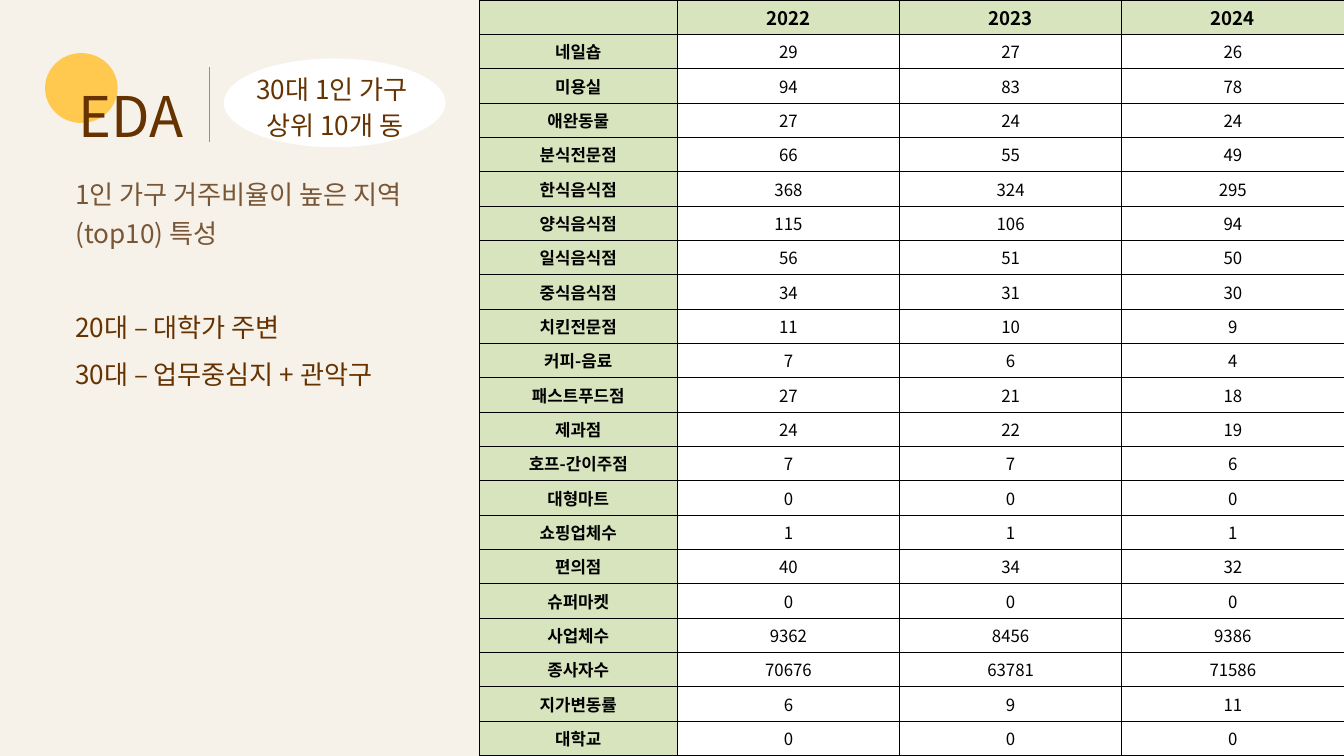
"""Build the slide on the ten districts with the most one-person households."""
from dataclasses import dataclass

from lxml.etree import SubElement
from pptx import Presentation
from pptx.dml.color import RGBColor
from pptx.enum.shapes import MSO_CONNECTOR, MSO_SHAPE
from pptx.enum.text import MSO_ANCHOR, PP_ALIGN
from pptx.oxml.ns import qn
from pptx.slide import Slide
from pptx.table import _Cell
from pptx.text.text import _Paragraph
from pptx.util import Inches, Pt


@dataclass(frozen=True)
class Theme:
    font: str = "Noto Sans CJK KR"
    background: str = "F6F2EA"
    sun: str = "FFC950"
    brown: str = "663300"
    soft_brown: str = "795635"
    rule: str = "AB8A66"
    white: str = "FFFFFF"
    black: str = "000000"
    green: str = "D7E4BD"
    title_size: float = 60
    body_size: float = 28
    header_size: float = 20
    cell_size: float = 18


@dataclass(frozen=True)
class Area:
    left: float
    top: float
    width: float
    height: float

    def lengths(self) -> tuple:
        return tuple(Inches(n) for n in (self.left, self.top, self.width, self.height))


@dataclass(frozen=True)
class Line:
    text: str
    size: float
    color: str
    leading: float
    before: float = 0


THEME = Theme()
SLIDE_WIDTH, SLIDE_HEIGHT = 20, 11.25
TABLE_LEFT, LABEL_WIDTH = 7.13, 2.95
BODY_LEADING = 50.4

OVALS = [
    (Area(0.67, 0.79, 1.08, 1.04), THEME.sun),
    (Area(3.33, 0.87, 3.3, 1.32), THEME.white),
]
TITLE = [Line("EDA", THEME.title_size, THEME.brown, 87.8)]
FINDINGS = [
    Line("1인 가구 거주비율이 높은 지역(top10) 특성", THEME.body_size, THEME.soft_brown, 41.5),
    Line("20대 – 대학가 주변", THEME.body_size, THEME.brown, BODY_LEADING, BODY_LEADING),
    Line("30대 – 업무중심지 + 관악구", THEME.body_size, THEME.brown, BODY_LEADING),
]
BADGE = [
    Line("30대 1인 가구 ", THEME.body_size, THEME.brown, 39.3),
    Line("상위 10개 동", THEME.body_size, THEME.brown, 39.3),
]
ROWS = [
    ("", 2022, 2023, 2024),
    ("네일숍", 29, 27, 26),
    ("미용실", 94, 83, 78),
    ("애완동물", 27, 24, 24),
    ("분식전문점", 66, 55, 49),
    ("한식음식점", 368, 324, 295),
    ("양식음식점", 115, 106, 94),
    ("일식음식점", 56, 51, 50),
    ("중식음식점", 34, 31, 30),
    ("치킨전문점", 11, 10, 9),
    ("커피-음료", 7, 6, 4),
    ("패스트푸드점", 27, 21, 18),
    ("제과점", 24, 22, 19),
    ("호프-간이주점", 7, 7, 6),
    ("대형마트", 0, 0, 0),
    ("쇼핑업체수", 1, 1, 1),
    ("편의점", 40, 34, 32),
    ("슈퍼마켓", 0, 0, 0),
    ("사업체수", 9362, 8456, 9386),
    ("종사자수", 70676, 63781, 71586),
    ("지가변동률", 6, 9, 11),
    ("대학교", 0, 0, 0),
]


def rgb(color: str) -> RGBColor:
    return RGBColor.from_string(color)


def style_spans(para: _Paragraph, size: float, color: str, bold: bool = False) -> None:
    for span in para.runs:
        span.font.size = Pt(size)
        span.font.bold = bold
        span.font.color.rgb = rgb(color)
        span.font.name = THEME.font
        SubElement(span.font._element, qn("a:ea"), typeface=THEME.font)


def add_oval(page: Slide, area: Area, color: str) -> None:
    oval = page.shapes.add_shape(MSO_SHAPE.OVAL, *area.lengths())
    oval.shadow.inherit = False
    oval.fill.solid()
    oval.fill.fore_color.rgb = rgb(color)
    oval.line.fill.background()


def add_text(page: Slide, area: Area, lines: list[Line], align: PP_ALIGN = PP_ALIGN.LEFT) -> None:
    frame = page.shapes.add_textbox(*area.lengths()).text_frame
    frame.word_wrap = True
    frame.margin_left = frame.margin_right = frame.margin_top = frame.margin_bottom = 0
    frame.text = "\n".join(line.text for line in lines)
    for para, line in zip(frame.paragraphs, lines):
        para.alignment = align
        para.line_spacing = Pt(line.leading)
        if line.before:
            para.space_before = Pt(line.before)
        style_spans(para, line.size, line.color)


def add_rule(page: Slide, x: float, top: float, bottom: float) -> None:
    rule = page.shapes.add_connector(
        MSO_CONNECTOR.STRAIGHT, Inches(x), Inches(bottom), Inches(x), Inches(top)
    )
    rule.line.color.rgb = rgb(THEME.rule)
    rule.line.width = Pt(1.5)
    SubElement(rule._element.spPr, qn("a:effectLst"))


def add_borders(cell: _Cell) -> None:
    properties = cell._tc.get_or_add_tcPr()
    for index, side in enumerate(("lnL", "lnR", "lnT", "lnB")):
        border = properties.makeelement(qn(f"a:{side}"), {"w": str(Pt(1))})
        fill = SubElement(border, qn("a:solidFill"))
        SubElement(fill, qn("a:srgbClr"), val=THEME.black)
        properties.insert(index, border)


def fill_cell(cell: _Cell, text: str, is_header: bool, is_label: bool) -> None:
    cell.fill.solid()
    cell.fill.fore_color.rgb = rgb(THEME.green if is_header or is_label else THEME.white)
    add_borders(cell)
    cell.vertical_anchor = MSO_ANCHOR.MIDDLE
    cell.margin_left = cell.margin_right = Inches(0.01 if is_header else 0.03)
    cell.margin_top = Inches(0.01 if is_header else 0)
    cell.margin_bottom = 0
    cell.text_frame.text = text
    para = cell.text_frame.paragraphs[0]
    para.alignment = PP_ALIGN.CENTER
    size = THEME.header_size if is_header else THEME.cell_size
    style_spans(para, size, THEME.black, is_header or is_label)


def add_counts(page: Slide) -> None:
    area = Area(TABLE_LEFT, 0, SLIDE_WIDTH - TABLE_LEFT, SLIDE_HEIGHT)
    year_count = len(ROWS[0]) - 1
    table = page.shapes.add_table(len(ROWS), year_count + 1, *area.lengths()).table
    table.first_row = table.horz_banding = False
    year_width = (area.width - LABEL_WIDTH) / year_count
    for column, width in zip(table.columns, [LABEL_WIDTH] + [year_width] * year_count):
        column.width = Inches(width)
    for row_index, values in enumerate(ROWS):
        table.rows[row_index].height = Inches(SLIDE_HEIGHT / len(ROWS))
        for column_index, value in enumerate(values):
            cell = table.cell(row_index, column_index)
            fill_cell(cell, str(value), row_index == 0, column_index == 0)


def main() -> None:
    deck = Presentation()
    deck.slide_width, deck.slide_height = Inches(SLIDE_WIDTH), Inches(SLIDE_HEIGHT)
    page = deck.slides.add_slide(deck.slide_layouts[6])
    page.background.fill.solid()
    page.background.fill.fore_color.rgb = rgb(THEME.background)
    for area, color in OVALS:
        add_oval(page, area, color)
    add_text(page, Area(1.17, 0.99, 7.88, 1.13), TITLE)
    add_text(page, Area(1.12, 2.55, 5.51, 3.27), FINDINGS)
    add_rule(page, 3.12, 1, 2.12)
    add_text(page, Area(3.47, 1.01, 3.03, 1.05), BADGE, PP_ALIGN.CENTER)
    add_counts(page)
    deck.save("out.pptx")


if __name__ == "__main__":
    main()
